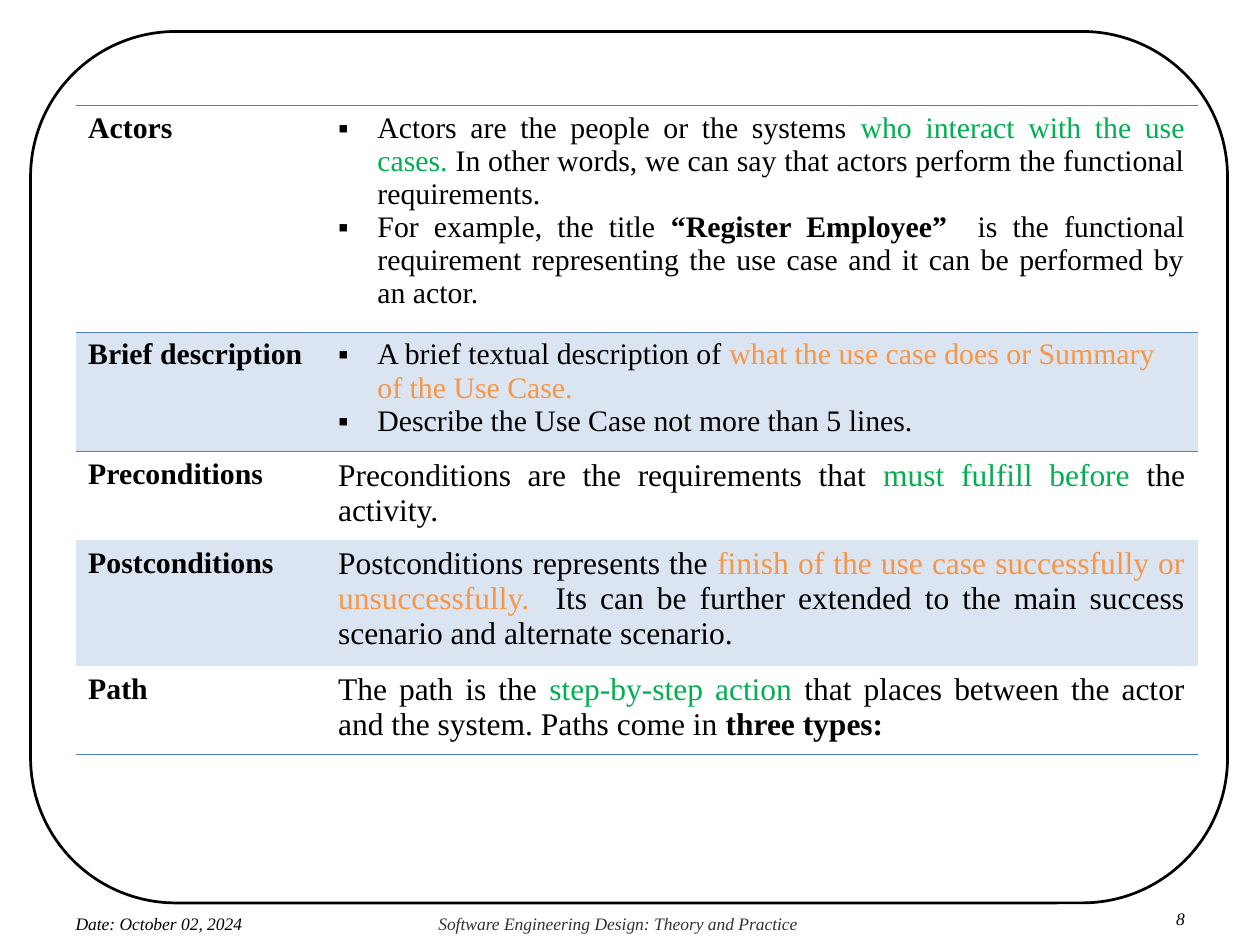
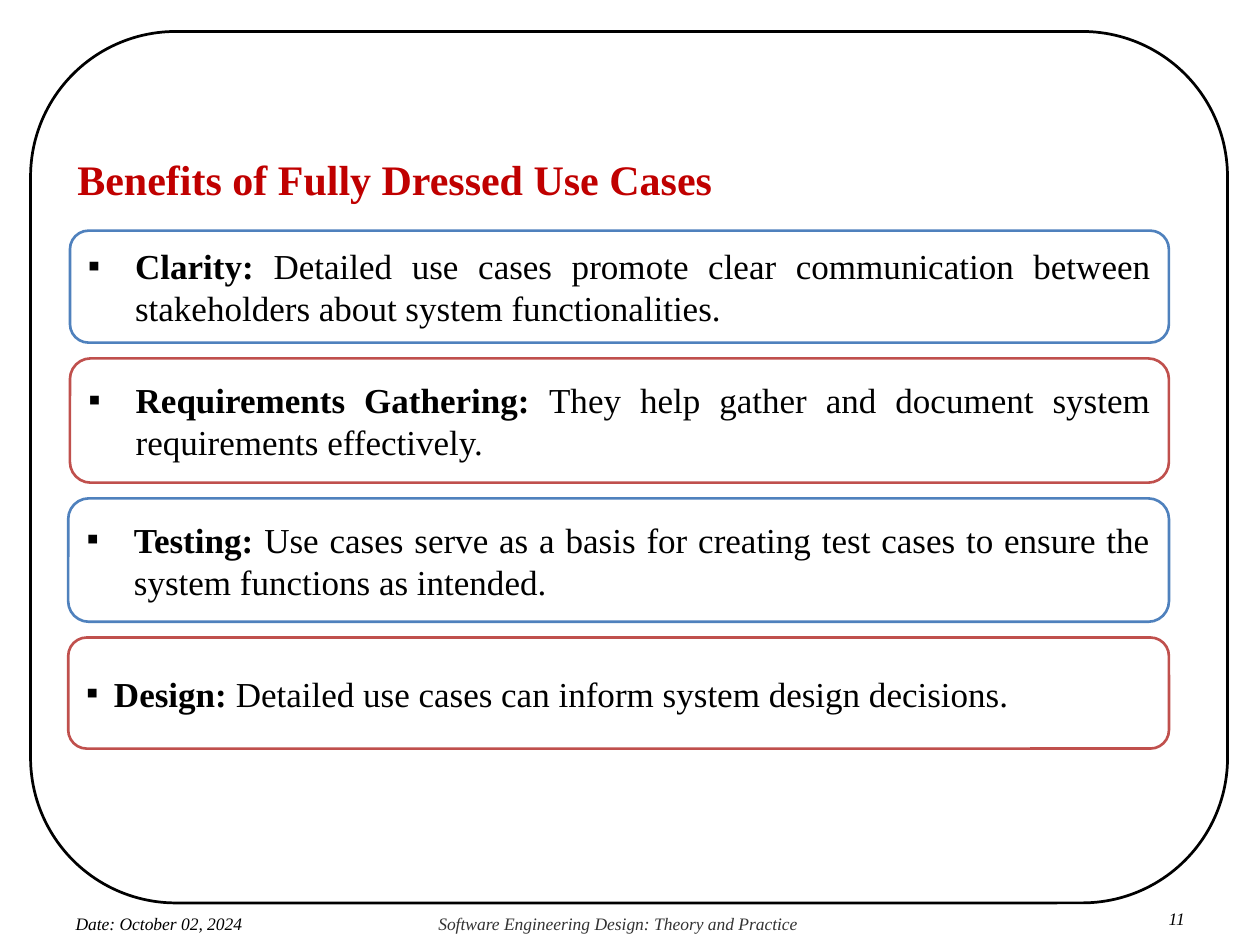
from lxml.etree import SubElement
from pptx import Presentation
from pptx.dml.color import RGBColor
from pptx.enum.shapes import MSO_SHAPE
from pptx.enum.text import MSO_ANCHOR, MSO_AUTO_SIZE, PP_ALIGN
from pptx.oxml.ns import qn
from pptx.util import Pt

FONT = "Times New Roman"
BLACK = RGBColor(0x00, 0x00, 0x00)
WHITE = RGBColor(0xFF, 0xFF, 0xFF)
GRAY = RGBColor(0x33, 0x33, 0x33)
DARK_RED = RGBColor(0xC0, 0x00, 0x00)
GREEN = RGBColor(0x00, 0xB0, 0x50)
ORANGE = RGBColor(0xF7, 0x96, 0x46)
BLUE = RGBColor(0x4F, 0x81, 0xBD)
RED = RGBColor(0xC0, 0x50, 0x4D)
PALE_BLUE = RGBColor(0xDB, 0xE5, 0xF1)
PLAIN_TABLE_STYLE = "{2D5ABB26-0587-4C30-8999-92F81FD0307C}"

FRAME_BOX = (17.5, 18, 684, 498)
TABLE_BOX = (43.2, 60, 641.2, 371)
TITLE_BOX = (43.2, 84.2, 621.4, 32.4)
BENEFITS_BOX = (39, 131.8, 629, 296)
FOOTER_HEIGHT = 11.8

USE_CASE_PARTS = [
    ("Actors", 129.6, 17, PP_ALIGN.JUSTIFY, True, [
        [("Actors are the people or the systems ",),
         ("who interact with the use cases. ", GREEN),
         ("In other words, we can say that actors perform the functional requirements. ",)],
        [("For example, the title ",), ("“Register Employee” ", BLACK, True),
         (" is the functional requirement representing the use case and it can be performed by an actor.",)],
    ]),
    ("Brief description", 68.4, 17, PP_ALIGN.LEFT, True, [
        [("A brief textual description of ",),
         ("what the use case does or Summary of the Use Case.", ORANGE)],
        [("Describe the Use Case not more than 5 lines.",)],
    ]),
    ("Preconditions", 50.4, 18, PP_ALIGN.JUSTIFY, False, [
        [("Preconditions are the requirements that ",),
         ("must fulfill before ", GREEN), ("the activity.",)],
    ]),
    ("Postconditions", 72, 18, PP_ALIGN.JUSTIFY, False, [
        [("Postconditions represents the ",),
         ("finish of the use case successfully or unsuccessfully. ", ORANGE),
         (" Its can be further extended to the main success scenario and alternate scenario.",)],
    ]),
    ("Path", 50.4, 18, PP_ALIGN.JUSTIFY, False, [
        [("The path is the ",), ("step-by-step action ", GREEN),
         ("that places between the actor and the system. Paths come in ",),
         ("three types:", BLACK, True)],
    ]),
]

BENEFITS = [
    ("Clarity: ", "Detailed use cases promote clear communication between "
     "stakeholders about system functionalities.", 64, 1, 27),
    ("Requirements Gathering: ", "They help gather and document system "
     "requirements effectively.", 71, 1, 27),
    ("Testing: ", "Use cases serve as a basis for creating test cases to ensure "
     "the system functions as intended.", 70.5, 0, 27),
    ("Design: ", "Detailed use cases can inform system design decisions.", 63.5, 0, 16),
]


def points(*lengths):
    """Turn plain numbers into point lengths."""
    return [Pt(length) for length in lengths]


def add_span(para, text, size, color=BLACK, bold=False, italic=False):
    """Add one formatted run to a paragraph."""
    span = para.add_run()
    span.text = text
    span.font.name = FONT
    span.font.size = Pt(size)
    span.font.color.rgb = color
    span.font.bold = bold
    span.font.italic = italic


def set_bullet(para, indent):
    """Give a paragraph a square bullet with a hanging indent."""
    properties = para._p.get_or_add_pPr()
    properties.set("marL", str(Pt(indent)))
    properties.set("indent", str(-Pt(indent)))
    SubElement(properties, qn("a:buFont")).set("typeface", FONT)
    SubElement(properties, qn("a:buChar")).set("char", "▪")


def set_margins(frame, left, top, right, bottom):
    """Set the four inner margins of a text frame."""
    frame.margin_left, frame.margin_top = points(left, top)
    frame.margin_right, frame.margin_bottom = points(right, bottom)


def add_border(cell, side):
    """Draw a thin blue rule on the given side of a table cell."""
    line = SubElement(cell._tc.get_or_add_tcPr(), qn(f"a:{side}"), w=str(Pt(0.45)))
    fill = SubElement(line, qn("a:solidFill"))
    SubElement(fill, qn("a:srgbClr")).set("val", str(BLUE))


def add_frame(page, box):
    """Draw the rounded outline around the page."""
    outline = page.shapes.add_shape(MSO_SHAPE.ROUNDED_RECTANGLE, *points(*box))
    outline.shadow.inherit = False
    outline.fill.background()
    outline.line.color.rgb = BLACK
    outline.line.width = Pt(1.56)


def add_footer(page, number):
    """Place the date, the course name and the page number."""
    items = [
        ("Date: October 02, 2024", 43.2, 522, 114, BLACK, PP_ALIGN.LEFT),
        ("Software Engineering Design: Theory and Practice", 250.5, 522, 208, GRAY, PP_ALIGN.LEFT),
        (str(number), 657, 519.2, 20, BLACK, PP_ALIGN.RIGHT),
    ]
    for text, left, top, width, color, align in items:
        box = page.shapes.add_textbox(*points(left, top, width, FOOTER_HEIGHT))
        set_margins(box.text_frame, 0, 0, 0, 0)
        box.text_frame.word_wrap = True
        para = box.text_frame.paragraphs[0]
        para.alignment = align
        para.line_spacing = Pt(FOOTER_HEIGHT)
        add_span(para, text, 10, color, italic=True)


def add_page(deck, layout, number):
    """Add a page with the shared outline and footer."""
    page = deck.slides.add_slide(deck.slide_layouts.get_by_name(layout))
    add_frame(page, FRAME_BOX)
    add_footer(page, number)
    return page


def add_title(page, text, box):
    """Move and format the title placeholder."""
    title = page.shapes.title
    title.left, title.top, title.width, title.height = points(*box)
    frame = title.text_frame
    frame.auto_size = MSO_AUTO_SIZE.NONE
    frame.vertical_anchor = MSO_ANCHOR.TOP
    set_margins(frame, 1, 3.6, 0, 0)
    para = frame.paragraphs[0]
    para.alignment = PP_ALIGN.LEFT
    add_span(para, text, 24, DARK_RED, bold=True)


def add_use_case_table(page, box):
    """Build the table that explains each part of a use case."""
    graphic = page.shapes.add_table(len(USE_CASE_PARTS), 2, *points(*box))
    table = graphic.table
    table.first_row = table.horz_banding = False
    table._tbl.tblPr.find(qn("a:tableStyleId")).text = PLAIN_TABLE_STYLE
    label_width = 142.8
    table.columns[0].width, table.columns[1].width = points(label_width, box[2] - label_width)
    last = len(USE_CASE_PARTS) - 1
    for index, (label, height, size, align, bulleted, paragraphs) in enumerate(USE_CASE_PARTS):
        table.rows[index].height = Pt(height)
        label_cell, text_cell = table.cell(index, 0), table.cell(index, 1)
        add_span(label_cell.text_frame.paragraphs[0], label, 17, bold=True)
        frame = text_cell.text_frame
        for position, spans in enumerate(paragraphs):
            para = frame.add_paragraph() if position else frame.paragraphs[0]
            para.alignment = align
            if bulleted:
                set_bullet(para, 22.5)
            for text, *style in spans:
                add_span(para, text, size, *style)
        for cell in (label_cell, text_cell):
            if index < 2:
                add_border(cell, "lnT")
            if index in (0, last):
                add_border(cell, "lnB")
            if index % 2:
                cell.fill.solid()
                cell.fill.fore_color.rgb = PALE_BLUE
            else:
                cell.fill.background()


def add_benefit_cards(page, box):
    """Stack the benefit cards with equal gaps and alternating outlines."""
    left, top, width, _ = box
    gap = 9
    for index, (name, text, height, inset, indent) in enumerate(BENEFITS):
        card = page.shapes.add_shape(
            MSO_SHAPE.ROUNDED_RECTANGLE, *points(left + inset, top, width - inset, height))
        card.shadow.inherit = False
        card.fill.solid()
        card.fill.fore_color.rgb = WHITE
        card.line.color.rgb = (BLUE, RED)[index % 2]
        card.line.width = Pt(1.5)
        frame = card.text_frame
        frame.word_wrap = True
        frame.vertical_anchor = MSO_ANCHOR.MIDDLE
        set_margins(frame, 7.2, 3.6, 7.2, 3.6)
        para = frame.paragraphs[0]
        para.alignment = PP_ALIGN.JUSTIFY
        set_bullet(para, indent)
        add_span(para, name, 20, bold=True)
        add_span(para, text, 20)
        top += height + gap


def main():
    """Build both pages and save the deck."""
    deck = Presentation()
    deck.slide_width, deck.slide_height = points(720, 540)
    add_use_case_table(add_page(deck, "Blank", 8), TABLE_BOX)
    page = add_page(deck, "Title Only", 11)
    add_title(page, "Benefits of Fully Dressed Use Cases", TITLE_BOX)
    add_benefit_cards(page, BENEFITS_BOX)
    deck.save("out.pptx")


if __name__ == "__main__":
    main()
